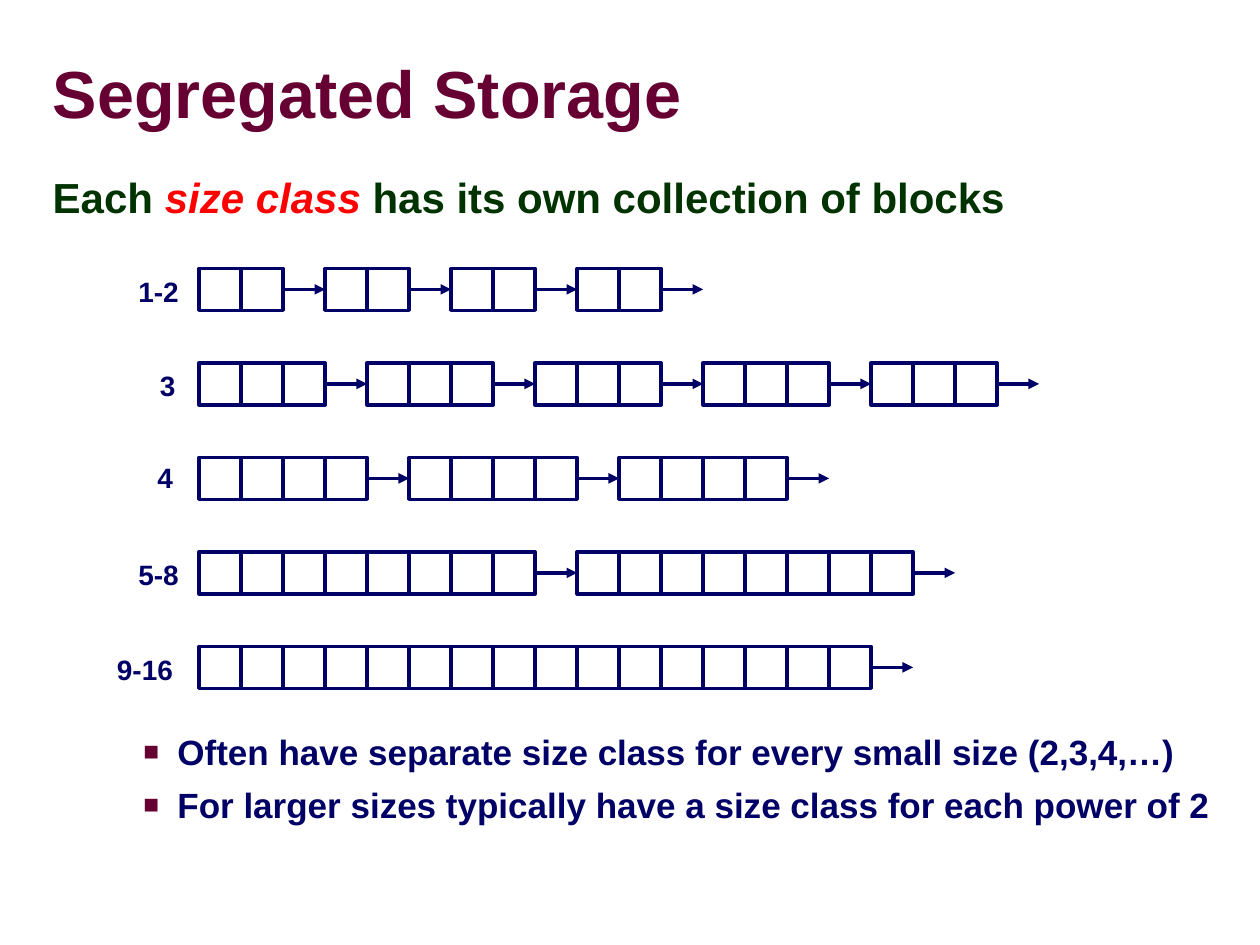
from lxml import etree
from pptx import Presentation
from pptx.dml.color import RGBColor
from pptx.enum.shapes import MSO_CONNECTOR as CONNECTOR, MSO_SHAPE as SHAPE
from pptx.enum.text import MSO_ANCHOR as ANCHOR
from pptx.oxml import parse_xml
from pptx.oxml.ns import nsdecls, qn
from pptx.util import Inches, Pt

COLORS = {
    "maroon": "660033",
    "green": "003300",
    "red": "FF0000",
    "navy": "000066",
    "white": "FFFFFF",
}
CELL = 1 / 3
ROW_LEFT, ROW_TOP, ROW_STEP = 1.58, 2.13, 0.75

deck = Presentation()
deck.slide_width, deck.slide_height = Inches(10), Inches(7.5)
page = deck.slides.add_slide(deck.slide_layouts[6])


def rgb(name):
    return RGBColor.from_string(COLORS[name])


def add_text(left, top, width, height, lines, size, color, wrap=True):
    """Add a bold text box with one paragraph per line; return its text frame."""
    frame = page.shapes.add_textbox(
        Inches(left), Inches(top), Inches(width), Inches(height)
    ).text_frame
    frame.word_wrap = wrap
    frame.text = "\n".join(lines)
    for para in frame.paragraphs:
        for span in para.runs:
            span.font.name = "Arial"
            span.font.size = Pt(size)
            span.font.bold = True
            span.font.color.rgb = rgb(color)
    return frame


# Title with a soft shadow behind the letters
title = add_text(0.42, 0.46, 7.01, 0.63, ["Segregated Storage"], 38, "maroon")
title.margin_left = title.margin_right = title.margin_top = title.margin_bottom = 0
title.vertical_anchor = ANCHOR.MIDDLE
title_para = title.paragraphs[0]
title_para.line_spacing = 0.87
title_fill = title_para.runs[0].font._element.find(qn("a:solidFill"))
title_fill.addnext(parse_xml(
    f'<a:effectLst {nsdecls("a")}>'
    '<a:outerShdw blurRad="38100" dist="38100" dir="2700000" algn="tl">'
    '<a:srgbClr val="C0C0C0"/></a:outerShdw></a:effectLst>'
))

# Statement with the key term picked out
statement = add_text(0.32, 1.34, 9.09, 0.56, ["Each "], 24, "green")
statement_para = statement.paragraphs[0]
statement_para.line_spacing = 0.95
for text, color, italic in [
    ("size class", "red", True),
    (" has its own collection of blocks", "green", False),
]:
    span = statement_para.add_run()
    span.text = text
    span.font.name = "Arial"
    span.font.size = Pt(24)
    span.font.bold = True
    span.font.italic = italic
    span.font.color.rgb = rgb(color)

# One row per size class: label, label left, label width, cells per block, blocks
size_classes = [
    ("1-2", 1.00, 0.52, 2, 4),
    ("3", 1.17, 0.32, 3, 5),
    ("4", 1.15, 0.32, 4, 3),
    ("5-8", 1.00, 0.52, 8, 2),
    ("9-16", 0.83, 0.65, 16, 1),
]
for row, (label, label_left, label_width, cells, blocks) in enumerate(size_classes):
    top = ROW_TOP + row * ROW_STEP
    label_top = top - 0.02 if label == "4" else top
    add_text(label_left, label_top, label_width, 0.37, [label], 16, "navy", wrap=False)
    for block in range(blocks):
        block_left = ROW_LEFT + block * (cells + 1) * CELL
        for cell in range(cells):
            square = page.shapes.add_shape(
                SHAPE.RECTANGLE, Inches(block_left + cell * CELL), Inches(top),
                Inches(CELL), Inches(CELL),
            )
            square.shadow.inherit = False
            square.fill.solid()
            square.fill.fore_color.rgb = rgb("white")
            square.line.color.rgb = rgb("navy")
            square.line.width = Pt(2)

        arrow_left, arrow_y = block_left + cells * CELL, top + CELL / 2
        arrow = page.shapes.add_connector(
            CONNECTOR.STRAIGHT, Inches(arrow_left), Inches(arrow_y),
            Inches(arrow_left + CELL), Inches(arrow_y),
        )
        arrow.line.color.rgb = rgb("navy")
        arrow.line.width = Pt(2)
        etree.SubElement(arrow.line._get_or_add_ln(), qn("a:tailEnd"), type="triangle")
        etree.SubElement(arrow._element.spPr, qn("a:effectLst"))

# Closing bullets
notes = add_text(0.5, 5.75, 9.33, 0.83, [
    "Often have separate size class for every small size (2,3,4,…)",
    "For larger sizes typically have a size class for each power of 2",
], 20, "navy")
for para in notes.paragraphs:
    para.level = 1
    props = para._p.get_or_add_pPr()
    props.set("marL", str(Inches(0.81)))
    props.set("indent", str(Inches(-0.27)))
    bullet_color = etree.SubElement(props, qn("a:buClr"))
    etree.SubElement(bullet_color, qn("a:srgbClr"), val=COLORS["maroon"])
    etree.SubElement(props, qn("a:buSzPct"), val="75000")
    etree.SubElement(props, qn("a:buFont"), typeface="Arial")
    etree.SubElement(props, qn("a:buChar"), char="■")
notes.paragraphs[1].space_before = Pt(6)

deck.save("out.pptx")
